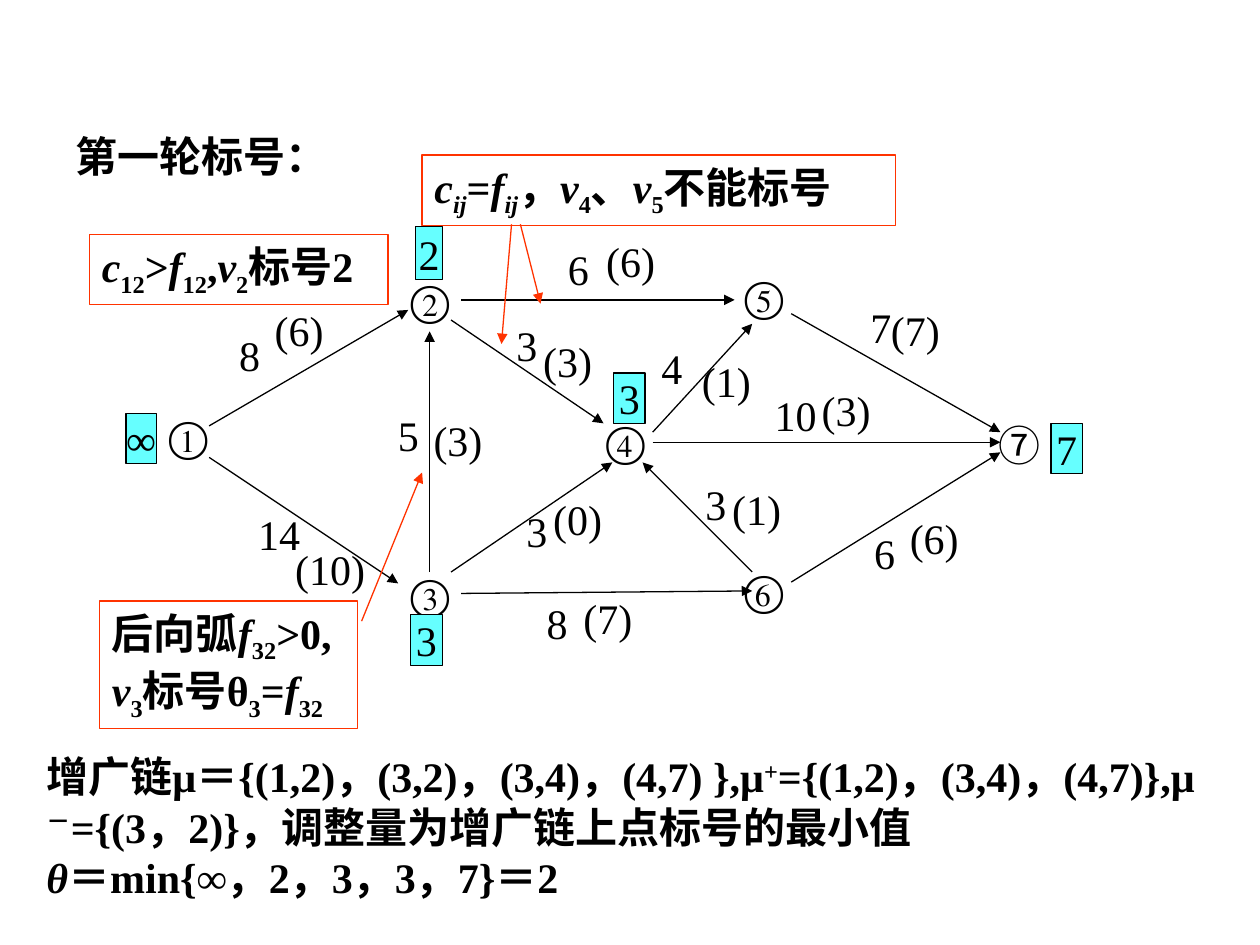
from lxml.etree import SubElement
from pptx import Presentation
from pptx.dml.color import RGBColor
from pptx.enum.shapes import MSO_CONNECTOR, MSO_SHAPE
from pptx.enum.text import MSO_ANCHOR, MSO_AUTO_SIZE, PP_ALIGN
from pptx.oxml.ns import qn
from pptx.util import Inches, Pt

SERIF, SANS = "Times New Roman", "Noto Sans CJK SC"
BLACK, RED, CYAN = "000000", "FF3300", "66FFFF"
WIDE, TIGHT, SIDE = (0.1, 0.05), (0.02, 0.01), (0.04, 0)
LEFT, CENTER = PP_ALIGN.LEFT, PP_ALIGN.CENTER

NODES = [("①", 1.24, 3.21), ("②", 3.16, 2.13), ("③", 3.16, 4.46),
         ("④", 4.71, 3.25), ("⑤", 5.81, 2.1), ("⑥", 5.81, 4.43)]

# start x, start y, end x, end y
ARCS = [(1.66, 3.38, 3.24, 2.46), (1.66, 3.63, 3.16, 4.63),
        (3.41, 4.54, 3.41, 2.63), (3.66, 2.38, 5.83, 2.38),
        (3.66, 4.71, 5.97, 4.69), (3.58, 2.54, 4.79, 3.36),
        (3.58, 4.54, 4.86, 3.67), (6.28, 2.49, 7.94, 3.43),
        (6.28, 4.62, 7.94, 3.59), (5.18, 3.43, 5.97, 2.57),
        (5.18, 3.51, 7.94, 3.51), (5.97, 4.54, 5.1, 3.67)]
POINTERS = [(4.06, 1.78, 3.98, 2.73), (4.13, 1.78, 4.29, 2.41),
            (2.87, 4.93, 3.35, 3.75)]

CAPACITIES = [("8", 1.8, 2.57), ("14", 1.95, 3.99), ("5", 3.06, 3.2),
              ("6", 4.41, 1.88), ("3", 4, 2.49), ("3", 4.08, 3.96),
              ("8", 4.24, 4.69), ("10", 6.05, 3.04), ("7", 6.81, 2.34),
              ("6", 6.84, 4.14), ("3", 5.5, 3.75), ("4", 5.15, 2.67)]
FLOWS = [("(10)", 2.32, 4.3), ("(6)", 2.16, 2.41), ("(3)", 3.42, 3.28),
         ("(6)", 4.79, 1.86), ("(3)", 4.29, 2.65), ("(7)", 4.61, 4.69),
         ("(0)", 4.37, 3.91), ("(6)", 7.2, 4.06), ("(1)", 5.79, 3.83),
         ("(3)", 6.5, 3.04), ("(1)", 5.55, 2.81), ("(7)", 7.05, 2.41)]

# text, box, insets
MARKS = [("∞", (1, 3.28, 0.24, 0.4), (0, 0)),
         ("2", (3.3, 1.8, 0.21, 0.42), TIGHT),
         ("3", (3.26, 4.88, 0.25, 0.4), SIDE),
         ("3", (4.87, 2.96, 0.25, 0.4), SIDE),
         ("7", (8.34, 3.36, 0.25, 0.4), SIDE)]

# Runs are (text, style): i italic, _ subscript, ^ superscript
NOTES = [
    ((0.71, 1.86, 2.37, 0.56),
     [[("c", "i"), ("12", "_"), (">", ""), ("f", "i"), ("12", "_"), (",", ""),
       ("v", "i"), ("2", "_"), ("标号2", "")]]),
    ((3.35, 1.23, 3.76, 0.56),
     [[("c", "i"), ("ij", "i_"), ("=", ""), ("f", "i"), ("ij", "i_"),
       ("，", ""), ("v", "i"), ("4", "_"), ("、", ""), ("v", "i"), ("5", "_"),
       ("不能标号", "")]]),
    ((0.79, 4.77, 2.05, 1.01),
     [[("后向弧", ""), ("f", "i"), ("32", "_"), (">0,", "")],
      [("v", "i"), ("3", "_"), ("标号θ", ""), ("3", "_"), ("=", ""),
       ("f", "i"), ("32", "_")]]),
]
CONCLUSION = [
    [("增广链μ＝{(1,2)，(3,2)，(3,4)，(4,7) },μ", ""), ("+", "^"),
     ("={(1,2)，(3,4)，(4,7)},μ", ""), ("－", "^"),
     ("={(3，2)}，调整量为增广链上点标号的最小值", "")],
    [("θ", "i"), ("＝min{∞，2，3，3，7}＝2", "")],
]


def rgb(color):
    return RGBColor.from_string(color)


def write(sp, paragraphs, insets=WIDE, align=LEFT, bold=False, font=SERIF, wrap=False):
    tf = sp.text_frame
    tf.word_wrap = wrap
    tf.auto_size = MSO_AUTO_SIZE.SHAPE_TO_FIT_TEXT
    tf.margin_left = tf.margin_right = Inches(insets[0])
    tf.margin_top = tf.margin_bottom = Inches(insets[1])
    tf.vertical_anchor = MSO_ANCHOR.MIDDLE if wrap else MSO_ANCHOR.TOP
    for i, runs in enumerate(paragraphs):
        p = tf.add_paragraph() if i else tf.paragraphs[0]
        p.alignment = align
        p.font.size, p.font.bold, p.font.name = Pt(24), bold, font
        p.font.color.rgb = rgb(BLACK)
        # Chinese characters in the bold texts are sans serif
        SubElement(p.font._element, qn("a:ea"), typeface=SANS if bold else font)
        for text, style in runs:
            r = p.add_run()
            r.text = text
            if "i" in style:
                r.font.italic = True
            if "_" in style or "^" in style:
                baseline = "-25000" if "_" in style else "30000"
                r._r.get_or_add_rPr().set("baseline", baseline)


def add_text(s, box, paragraphs, **options):
    write(s.shapes.add_textbox(*map(Inches, box)), paragraphs, **options)


def add_label(s, text, x, y, w, h=0.5, **options):
    add_text(s, (x, y, w, h), [[(text, "")]], **options)


def add_box(s, box, paragraphs, line, fill=None, **options):
    sp = s.shapes.add_shape(MSO_SHAPE.RECTANGLE, *map(Inches, box))
    sp.shadow.inherit = False
    sp.line.color.rgb = rgb(line)
    sp.line.width = Pt(0.75)
    if fill:
        sp.fill.solid()
        sp.fill.fore_color.rgb = rgb(fill)
    else:
        sp.fill.background()
    write(sp, paragraphs, **options)


def add_arrow(s, ends, color):
    line = s.shapes.add_connector(MSO_CONNECTOR.STRAIGHT, *map(Inches, ends))
    line.line.color.rgb = rgb(color)
    line.line.width = Pt(0.75)
    SubElement(line.line._get_or_add_ln(), qn("a:tailEnd"), type="triangle")
    SubElement(line._element.spPr, qn("a:effectLst"))


def main():
    prs = Presentation()
    prs.slide_width, prs.slide_height = Inches(10), Inches(7.5)
    s = prs.slides.add_slide(prs.slide_layouts[6])

    # Network: nodes and arcs
    for text, x, y in NODES:
        add_label(s, text, x, y, 0.53)
    add_label(s, "⑦", 7.83, 3.28, 0.53, align=CENTER, font=SANS)
    for ends in ARCS:
        add_arrow(s, ends, BLACK)

    # Capacities, and flows in brackets
    for text, x, y in CAPACITIES:
        add_label(s, text, x, y, 0.19 + 0.17 * len(text))
    for text, x, y in FLOWS:
        add_label(s, text, x, y, 0.17 * len(text) - 0.08, 0.42,
                  insets=TIGHT, align=CENTER)

    # Node labels found in this round
    for text, box, insets in MARKS:
        add_box(s, box, [[(text, "")]], BLACK, CYAN, insets=insets, align=CENTER)

    # Title, explanations and conclusion
    add_label(s, "第一轮标号：", 0.5, 0.99, 2.2, bold=True)
    for box, paragraphs in NOTES:
        add_box(s, box, paragraphs, RED, bold=True)
    for ends in POINTERS:
        add_arrow(s, ends, RED)
    add_text(s, (0.27, 5.91, 9.45, 1.3), CONCLUSION, bold=True, wrap=True)

    prs.save("out.pptx")


if __name__ == "__main__":
    main()
